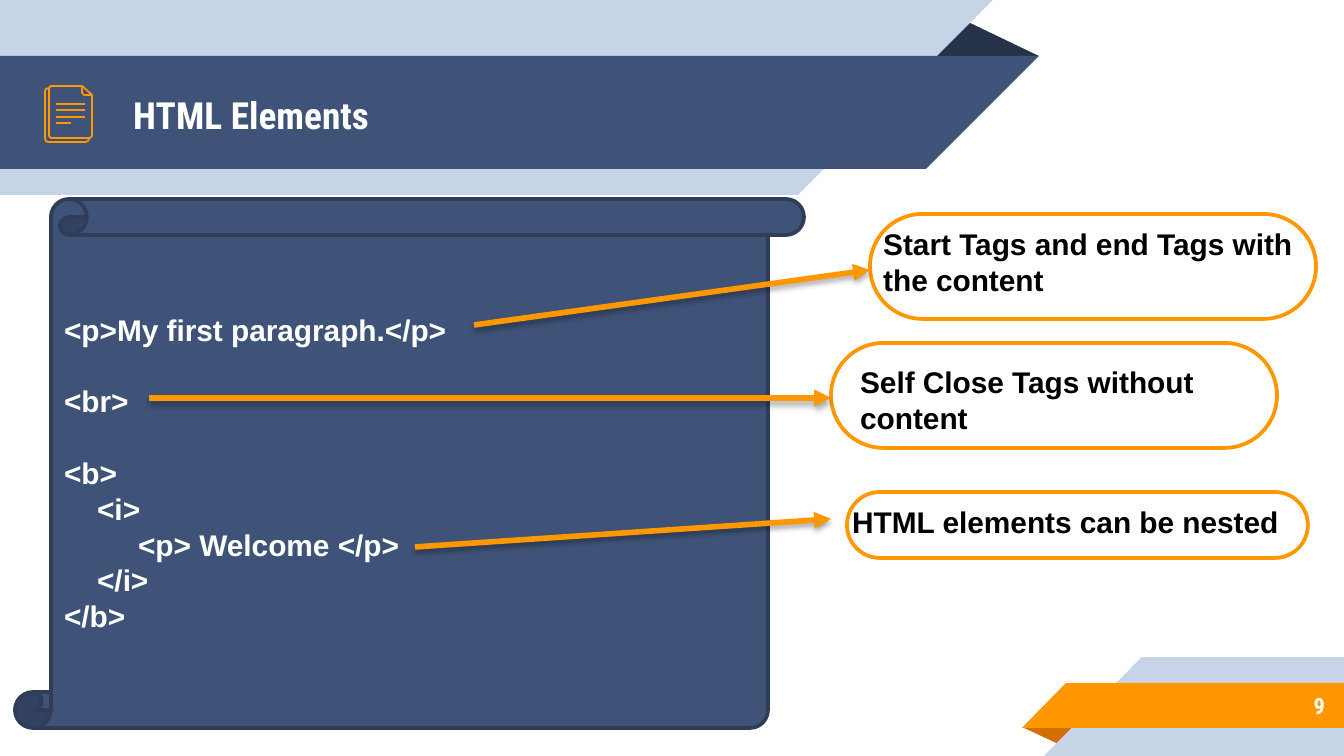
from lxml import etree
from pptx import Presentation
from pptx.dml.color import RGBColor
from pptx.enum.shapes import MSO_CONNECTOR, MSO_SHAPE
from pptx.enum.text import MSO_ANCHOR, PP_ALIGN
from pptx.oxml import parse_xml
from pptx.oxml.ns import nsdecls, qn
from pptx.util import Pt

PX = 914400 / 134.4
RECT, CORNER, TRIANGLE = MSO_SHAPE.RECTANGLE, MSO_SHAPE.RIGHT_TRIANGLE, MSO_SHAPE.ISOSCELES_TRIANGLE
SCROLL, PILL = MSO_SHAPE.VERTICAL_SCROLL, MSO_SHAPE.ROUNDED_RECTANGLE
STRAIGHT = MSO_CONNECTOR.STRAIGHT
LEFT, RIGHT = PP_ALIGN.LEFT, PP_ALIGN.RIGHT
TOP, MIDDLE = MSO_ANCHOR.TOP, MSO_ANCHOR.MIDDLE

NAVY, DARK_NAVY = RGBColor(0x3F, 0x53, 0x78), RGBColor(0x26, 0x32, 0x48)
EDGE, PALE = RGBColor(0x2F, 0x3D, 0x59), RGBColor(0xC7, 0xD3, 0xE6)
ORANGE, DARK_ORANGE = RGBColor(0xFF, 0x98, 0x00), RGBColor(0xD2, 0x6F, 0x00)
WHITE, BLACK = RGBColor(255, 255, 255), RGBColor(0, 0, 0)
HEAD_FONT, BODY_FONT = "Roboto Condensed", "Arial"
LINE = 19.2  # line pitch of the body text, points

# Content: code lines as (text, indent in px, blank lines above)
CODE = [
    ("<p>My first paragraph.</p>", 0, 0),
    ("<br>", 0, 1),
    ("<b>", 0, 1),
    ("<i>", 33, 0),
    ("<p> Welcome </p>", 74, 0),
    ("</i>", 33, 0),
    ("</b>", 0, 0),
]
# Callouts: lines, text box, outline, arrow from and to
CALLOUTS = [
    (["Start Tags and end Tags with", "the content"],
     (870, 219, 446, 86), (870, 214, 446, 105), (474, 325, 870, 270)),
    (["Self Close Tags without", "content"],
     (847, 357, 430, 86), (831, 343, 446, 105), (149, 398, 831, 398)),
    (["HTML elements can be nested"],
     (839, 497, 468, 50), (847, 492, 461, 66), (415, 547, 831, 519)),
]
# Ribbons: kind, box, colour, flip attribute
RIBBONS = [
    (TRIANGLE, (925, 19, 114, 37), DARK_NAVY, None),
    (RECT, (0, 0, 798, 195), PALE, None),
    (CORNER, (798, 0, 195, 195), PALE, "flipV"),
    (RECT, (0, 56, 926, 113), NAVY, None),
    (CORNER, (926, 56, 113, 113), NAVY, "flipV"),
    (TRIANGLE, (1022, 727, 57, 18), DARK_ORANGE, "rot"),
    (RECT, (1142, 657, 202, 99), PALE, None),
    (CORNER, (1044, 657, 98, 99), PALE, "flipH"),
    (RECT, (1066, 683, 278, 45), ORANGE, None),
    (CORNER, (1022, 683, 44, 45), ORANGE, "flipH"),
]
# Document icon: (points, closed) and text rules (left, right, y)
ICON_PATHS = [
    ([(49, 88), (46, 89), (45, 91), (45, 138), (46, 141), (48, 142),
      (86, 142), (88, 141), (89, 139)], False),
    ([(82, 86), (51, 86), (49, 88), (49, 136), (51, 138), (90, 138),
      (92, 136), (92, 95)], False),
    ([(82, 86), (92, 95), (84, 95), (82, 93)], True),
]
ICON_RULES = [(56, 85, 104), (56, 85, 110), (56, 85, 117), (56, 71, 123)]

prs = Presentation()
prs.slide_width, prs.slide_height = round(1344 * PX), round(756 * PX)
slide = prs.slides.add_slide(prs.slide_layouts[6])
shapes = slide.shapes


def emu(box):
    return [round(v * PX) for v in box]


def paint(s, fill=None, line=None, width=2):
    s.shadow.inherit = False
    if fill is None:
        s.fill.background()
    else:
        s.fill.solid()
        s.fill.fore_color.rgb = fill
    if line is None:
        s.line.fill.background()
    else:
        s.line.color.rgb = line
        s.line.width = Pt(width)


def add_shape(kind, box, adj=None, **style):
    s = shapes.add_shape(kind, *emu(box))
    if adj is not None:
        s.adjustments[0] = adj
    paint(s, **style)
    return s


def style_paragraph(p, size, font, color, align=LEFT):
    p.alignment = align
    p.font.size, p.font.name, p.font.bold = Pt(size), font, True
    p.font.color.rgb = color


def add_text(lines, box, size, font, color, align=LEFT, anchor=TOP, pitch=None):
    tf = shapes.add_textbox(*emu(box)).text_frame
    tf.word_wrap, tf.vertical_anchor = True, anchor
    for i, text in enumerate(lines):
        p = tf.add_paragraph() if i else tf.paragraphs[0]
        p.text = text
        style_paragraph(p, size, font, color, align)
        if pitch:
            p.line_spacing = Pt(pitch)


def add_line(x1, y1, x2, y2, width, arrow=False):
    c = shapes.add_connector(STRAIGHT, *emu((x1, y1, x2, y2)))
    c.line.color.rgb, c.line.width = ORANGE, Pt(width)
    shadow = ""
    if arrow:
        etree.SubElement(c.line._get_or_add_ln(), qn("a:tailEnd"), type="triangle")
        shadow = ('<a:outerShdw blurRad="39370" dist="22860" dir="5400000" rotWithShape="0">'
                  '<a:srgbClr val="000000"><a:alpha val="35000"/></a:srgbClr></a:outerShdw>')
    c._element.spPr.append(parse_xml(f'<a:effectLst {nsdecls("a")}>{shadow}</a:effectLst>'))


# Ribbons
for kind, box, color, flip in RIBBONS:
    s = add_shape(kind, box, 0.324 if kind == TRIANGLE else None, fill=color)
    if flip == "rot":
        s.rotation = 180
    elif flip:
        s._element.spPr.find(qn("a:xfrm")).set(flip, "1")

# Title and slide number
add_text(["HTML Elements"], (120, 58, 773, 113), 20, HEAD_FONT, WHITE, anchor=MIDDLE)
add_text(["9"], (1119, 682, 219, 47), 12, HEAD_FONT, WHITE, RIGHT, MIDDLE)

# Document icon
for points, closed in ICON_PATHS:
    fb = shapes.build_freeform(*points[0], scale=PX)
    fb.add_line_segments(points[1:], close=closed)
    paint(fb.convert_to_shape(), line=ORANGE, width=0.96)
for x1, x2, y in ICON_RULES:
    add_line(x1, y, x2, y, 0.96)

# Scroll with code
tf = add_shape(SCROLL, (15, 199, 789, 529), 0.068, fill=NAVY, line=EDGE).text_frame
tf.word_wrap, tf.vertical_anchor = True, MIDDLE
for i, (text, indent, gap) in enumerate(CODE):
    p = tf.add_paragraph() if i else tf.paragraphs[0]
    p.text = text
    style_paragraph(p, 16, BODY_FONT, WHITE)
    p.line_spacing, p.space_before = Pt(LINE), Pt(gap * LINE)
    p._p.get_or_add_pPr().set("marL", str(round(indent * PX)))

# Callouts
for lines, text_box, outline, arrow in CALLOUTS:
    add_shape(PILL, outline, 0.5, line=ORANGE)
    add_text(lines, text_box, 16, BODY_FONT, BLACK, pitch=LINE)
    add_line(*arrow, 3, arrow=True)

prs.save("out.pptx")
